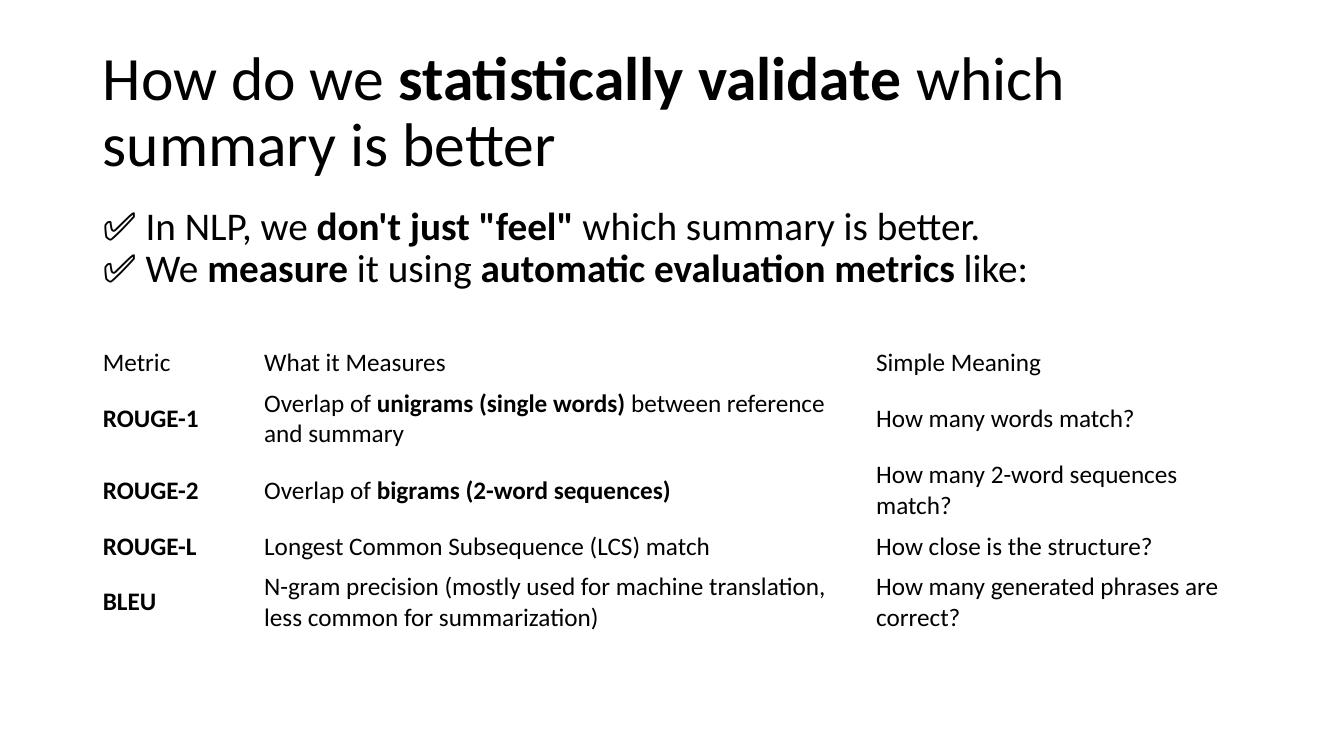
from dataclasses import dataclass

from pptx import Presentation
from pptx import util as u
from pptx.dml.color import RGBColor
from pptx.enum import text

PX = 9144  # EMU per px, 100 px to the inch


@dataclass(frozen=True)
class Theme:
    font: str = "Calibri"
    ink: RGBColor = RGBColor(0, 0, 0)
    title: int = 44
    body: int = 28
    cell: int = 18


T = Theme()

TITLE = "How do we **statistically validate** which summary is better"
BODY = ('✅ In NLP, we **don\'t just "feel"** which summary is better.\n'
        "✅ We **measure** it using **automatic evaluation metrics** like:")
COLUMNS = [160, 607, 383]
ROW_HEIGHTS = [40, 71, 71, 40, 71]
METRICS = [
    ("Metric", "What it Measures", "Simple Meaning"),
    ("**ROUGE-1**", "Overlap of **unigrams (single words)** between reference and summary",
     "How many words match?"),
    ("**ROUGE-2**", "Overlap of **bigrams (2-word sequences)**",
     "How many 2-word sequences match?"),
    ("**ROUGE-L**", "Longest Common Subsequence (LCS) match",
     "How close is the structure?"),
    ("**BLEU**", "N-gram precision (mostly used for machine translation, "
     "less common for summarization)", "How many generated phrases are correct?"),
]


def px(*lengths):
    return [u.Emu(n * PX) for n in lengths]


def write(p, marked, size):
    """Fill a paragraph; ** switches bold and a newline breaks the line."""
    p.font.name, p.font.size = T.font, u.Pt(size)
    p.font.color.rgb = T.ink
    for i, line in enumerate(marked.split("\n")):
        if i:
            p.add_line_break()
        for j, part in enumerate(line.split("**")):
            if part:
                r = p.add_run()
                r.text = part
                r.font.bold = j % 2 == 1


def add_text(s, box, marked, size, anchor, before=0):
    tf = s.shapes.add_textbox(*px(*box)).text_frame
    tf.word_wrap = True
    tf.vertical_anchor = anchor
    p = tf.paragraphs[0]
    p.line_spacing = 0.9
    p.space_before = u.Pt(before)
    write(p, marked, size)


def add_metrics(s, box):
    table = s.shapes.add_table(len(METRICS), len(COLUMNS), *px(*box)).table
    table.first_row = table.horz_banding = False
    for column, width in zip(table.columns, px(*COLUMNS)):
        column.width = width
    for row, height, values in zip(table.rows, px(*ROW_HEIGHTS), METRICS):
        row.height = height
        for cell, value in zip(row.cells, values):
            cell.fill.background()
            cell.vertical_anchor = text.MSO_ANCHOR.MIDDLE
            write(cell.text_frame.paragraphs[0], value, T.cell)


def main():
    prs = Presentation()
    prs.slide_width, prs.slide_height = px(1333, 750)
    s = prs.slides.add_slide(prs.slide_layouts[6])

    # Question, introduction and table of metrics
    left, width = 92, sum(COLUMNS)
    add_text(s, (left, 40, width, 145), TITLE, T.title, text.MSO_ANCHOR.MIDDLE)
    add_text(s, (left, 200, width, 476), BODY, T.body, text.MSO_ANCHOR.TOP, before=10)
    add_metrics(s, (left, 340, width, sum(ROW_HEIGHTS)))

    prs.save("out.pptx")


if __name__ == "__main__":
    main()
